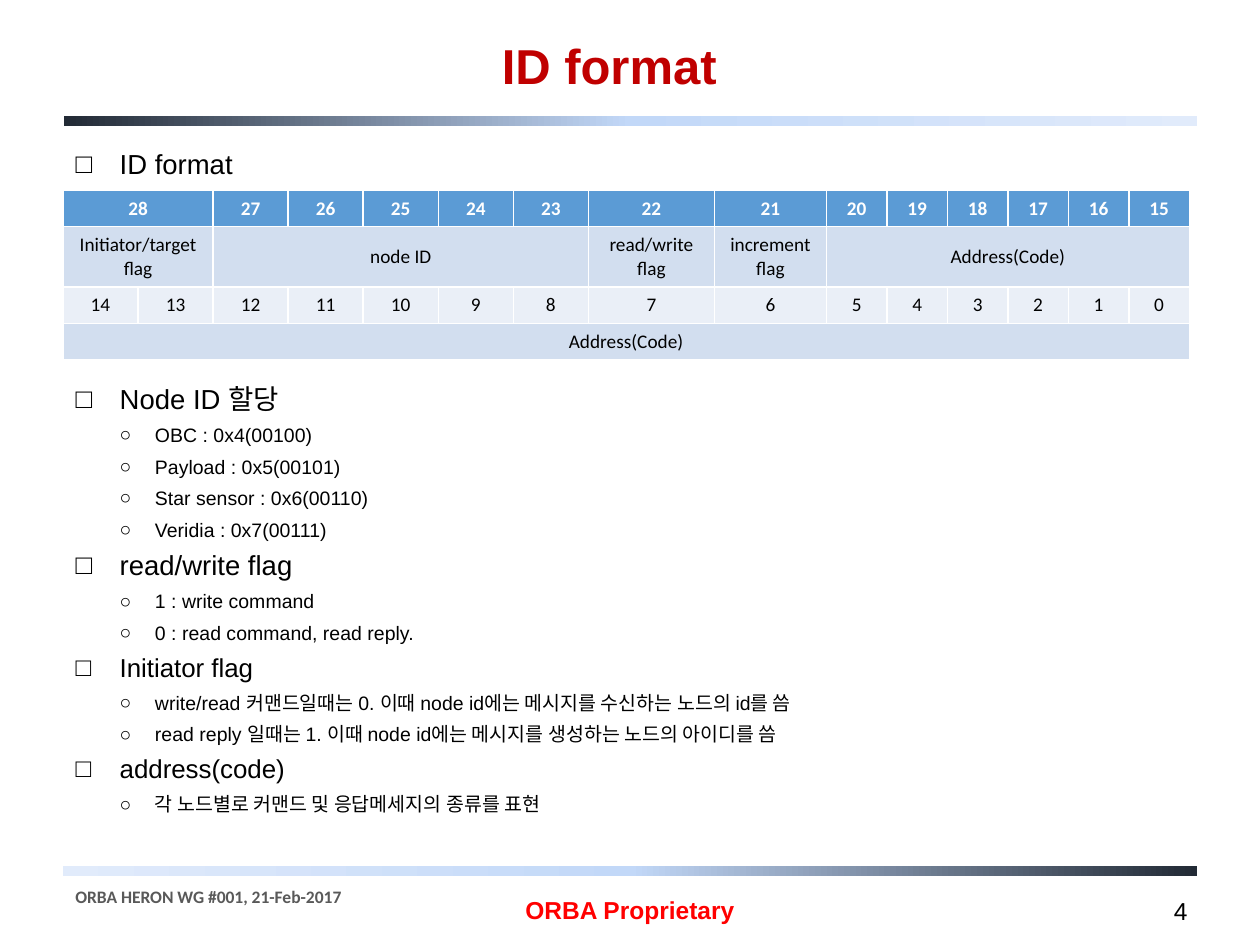
import copy

import pptx
import pptx.dml.color
import pptx.enum.shapes
import pptx.enum.text
import pptx.oxml.ns
import pptx.util
from pptx.util import Inches, Pt

RGBColor = pptx.dml.color.RGBColor
ALIGN = pptx.enum.text.PP_ALIGN
MIDDLE = pptx.enum.text.MSO_ANCHOR.MIDDLE

BLACK = RGBColor(0x00, 0x00, 0x00)
WHITE = RGBColor(0xFF, 0xFF, 0xFF)
TITLE_RED = RGBColor(0xC0, 0x00, 0x00)
NOTICE_RED = RGBColor(0xFF, 0x00, 0x00)
FOOTER_GRAY = RGBColor(0x59, 0x59, 0x59)
HEADER_BLUE = RGBColor(0x5B, 0x9B, 0xD5)
FIELD_BLUE = RGBColor(0xD2, 0xDE, 0xEF)
BIT_BLUE = RGBColor(0xEA, 0xEF, 0xF7)
BAR_STOPS = [
    (0, RGBColor(0x22, 0x2A, 0x35)),
    (0.5, RGBColor(0xC2, 0xD8, 0xF8)),
    (1, RGBColor(0xE1, 0xEB, 0xFB)),
]


def add_run(paragraph, text, size, color, font="Arial", bold=False):
    """Append one formatted run to a paragraph."""
    run = paragraph.add_run()
    run.text = text
    run.font.size = Pt(size)
    run.font.name = font
    run.font.bold = bold
    run.font.color.rgb = color


def set_bullet(paragraph, char, indent, hanging):
    """Give a paragraph a bullet character and a hanging indent."""
    properties = paragraph._p.get_or_add_pPr()
    properties.set("marL", str(Inches(indent)))
    properties.set("indent", str(-Inches(hanging)))
    bullet = properties.makeelement(pptx.oxml.ns.qn("a:buChar"), {"char": char})
    properties.append(bullet)


deck = pptx.Presentation()
deck.slide_width, deck.slide_height = Inches(10), Inches(7.5)
slide = deck.slides.add_slide(deck.slide_layouts[1])

# Gradient bars under the title and above the footer
for left, top, width, angle in [(0.5, 6.87, 9, 180), (0.51, 0.92, 8.99, 0)]:
    bar = slide.shapes.add_shape(
        pptx.enum.shapes.MSO_SHAPE.RECTANGLE,
        Inches(left), Inches(top), Inches(width), Inches(0.08))
    bar.shadow.inherit = False
    bar.line.fill.background()
    bar.fill.gradient()
    bar.fill.gradient_angle = angle
    first_stop = bar._element.spPr.find(".//" + pptx.oxml.ns.qn("a:gs"))
    first_stop.addnext(copy.deepcopy(first_stop))
    for stop, (position, color) in zip(bar.fill.gradient_stops, BAR_STOPS):
        stop.position = position
        stop.color.rgb = color

# Title
title = slide.shapes.title
title.left, title.top = Inches(1.38), Inches(0.12)
title.width, title.height = Inches(6.91), Inches(0.79)
title.text_frame.vertical_anchor = MIDDLE
heading = title.text_frame.paragraphs[0]
heading.alignment = ALIGN.CENTER
add_run(heading, "ID format", 28, TITLE_RED, bold=True)

# Outline: heading, heading size, space before, sub-items
outline = [
    ("ID format", 15.7, 6, []),
    ("Node ID 할당", 15.7, 117, [
        "OBC : 0x4(00100)",
        "Payload : 0x5(00101)",
        "Star sensor : 0x6(00110)",
        "Veridia : 0x7(00111)",
    ]),
    ("read/write flag", 15.7, 6, [
        "1 : write command",
        "0 : read command, read reply.",
    ]),
    ("Initiator flag", 14.8, 6, [
        "write/read 커맨드일때는 0. 이때 node id에는 메시지를 수신하는 노드의 id를 씀",
        "read reply 일때는 1. 이때 node id에는 메시지를 생성하는 노드의 아이디를 씀",
    ]),
    ("address(code)", 14.8, 6, ["각 노드별로 커맨드 및 응답메세지의 종류를 표현"]),
]
body = slide.placeholders[1]
body.left, body.top = Inches(0.5), Inches(1.15)
body.width, body.height = Inches(9), Inches(5.67)
body.text_frame.auto_size = pptx.enum.text.MSO_AUTO_SIZE.NONE
body.text_frame.vertical_anchor = pptx.enum.text.MSO_ANCHOR.TOP
point = body.text_frame.paragraphs[0]
for topic, topic_size, gap, details in outline:
    entries = [(0, topic, topic_size, gap)]
    entries += [(1, detail, 11.1, 6) for detail in details]
    for level, text, size, space_before in entries:
        if point.runs:
            point = body.text_frame.add_paragraph()
        point.level = level
        point.line_spacing = 0.9
        point.space_before = Pt(space_before)
        if level:
            set_bullet(point, "○", 0.63, 0.28)
        else:
            set_bullet(point, "□", 0.35, 0.35)
        add_run(point, text, size, BLACK)

# Bit layout table: rows of (text, first column, columns spanned)
header_bits = [("28", 0, 2)] + [(str(29 - col), col, 1) for col in range(2, 15)]
fields = [
    ("Initiator/target flag", 0, 2),
    ("node ID", 2, 5),
    ("read/write flag", 7, 1),
    ("increment\nflag", 8, 1),
    ("Address(Code)", 9, 6),
]
low_bits = [(str(14 - col), col, 1) for col in range(15)]
table_rows = [
    (0.29, HEADER_BLUE, WHITE, header_bits),
    (0.46, FIELD_BLUE, BLACK, fields),
    (0.29, BIT_BLUE, BLACK, low_bits),
    (0.29, FIELD_BLUE, BLACK, [("Address(Code)", 0, 15)]),
]
column_widths = [4.17 / 7] * 7 + [1, 0.89] + [0.48] * 6
bit_table = slide.shapes.add_table(
    len(table_rows), len(column_widths),
    Inches(0.5), Inches(1.51), Inches(8.94), Inches(1.33)).table
for column, width in zip(bit_table.columns, column_widths):
    column.width = Inches(width)
for row, (height, fill, color, cells) in enumerate(table_rows):
    bit_table.rows[row].height = Inches(height)
    for text, col, span in cells:
        cell = bit_table.cell(row, col)
        if span > 1:
            cell.merge(bit_table.cell(row, col + span - 1))
        cell.fill.solid()
        cell.fill.fore_color.rgb = fill
        cell.vertical_anchor = MIDDLE
        for index, line in enumerate(text.split("\n")):
            frame = cell.text_frame
            label = frame.add_paragraph() if index else frame.paragraphs[0]
            label.alignment = ALIGN.CENTER
            add_run(label, line, 11, color, "Calibri", bold=row == 0)

# Footer: meeting, confidentiality notice, page number
footer = [
    ("ORBA HERON WG #001, 21-Feb-2017", 0.5, 6.98, 3.08, 0.27,
     ALIGN.LEFT, 10, FOOTER_GRAY, "Calibri", True),
    ("ORBA Proprietary", 3.75, 7.02, 2.5, 0.4,
     ALIGN.CENTER, 14, NOTICE_RED, "Arial", True),
    ("4", 8.94, 7.04, 0.86, 0.38, ALIGN.CENTER, 14, BLACK, "Arial", False),
]
for text, left, top, width, height, align, size, color, font, bold in footer:
    note = slide.shapes.add_textbox(
        Inches(left), Inches(top), Inches(width), Inches(height)).text_frame
    note.word_wrap = True
    note.vertical_anchor = MIDDLE
    note.paragraphs[0].alignment = align
    add_run(note.paragraphs[0], text, size, color, font, bold)

deck.save("out.pptx")
